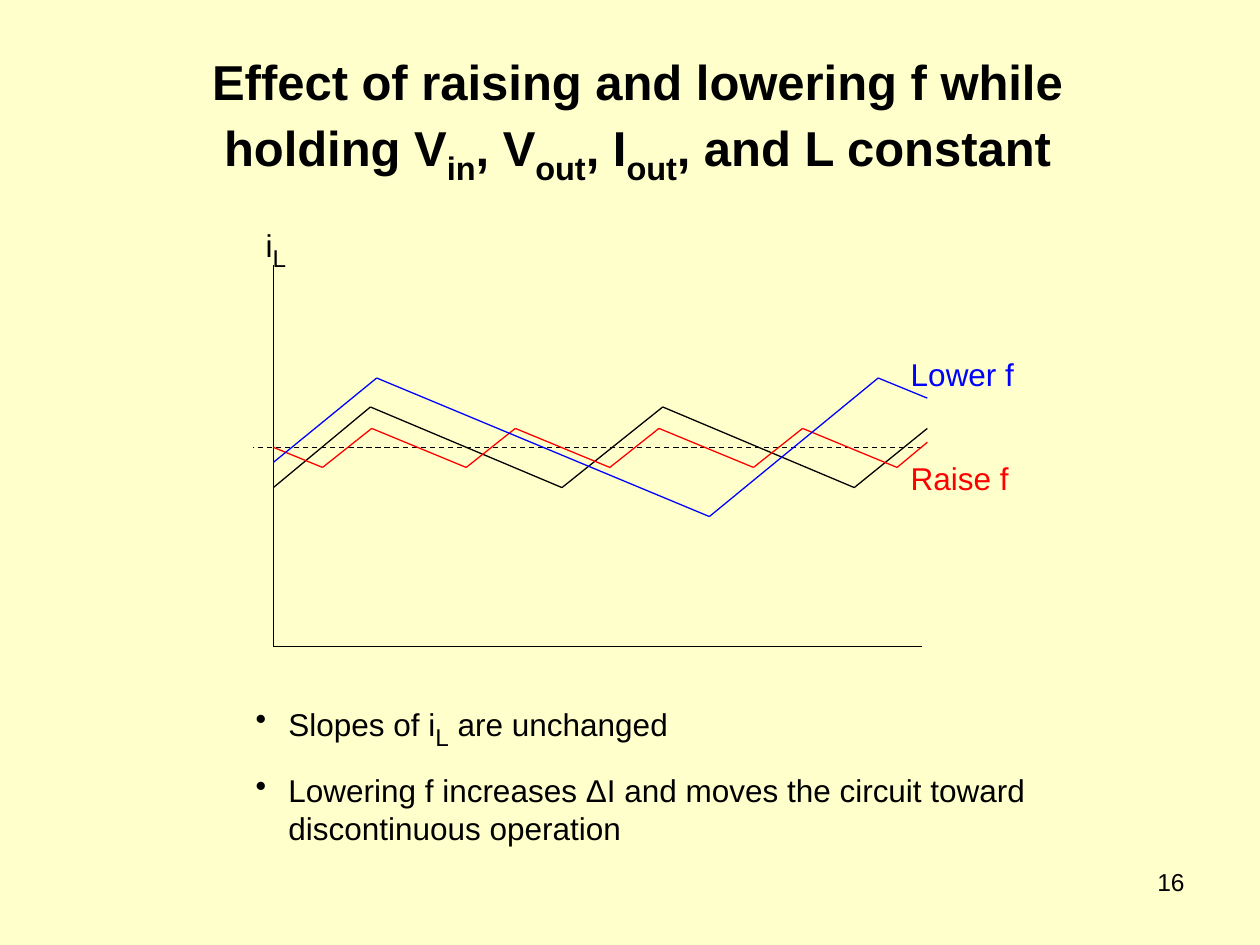
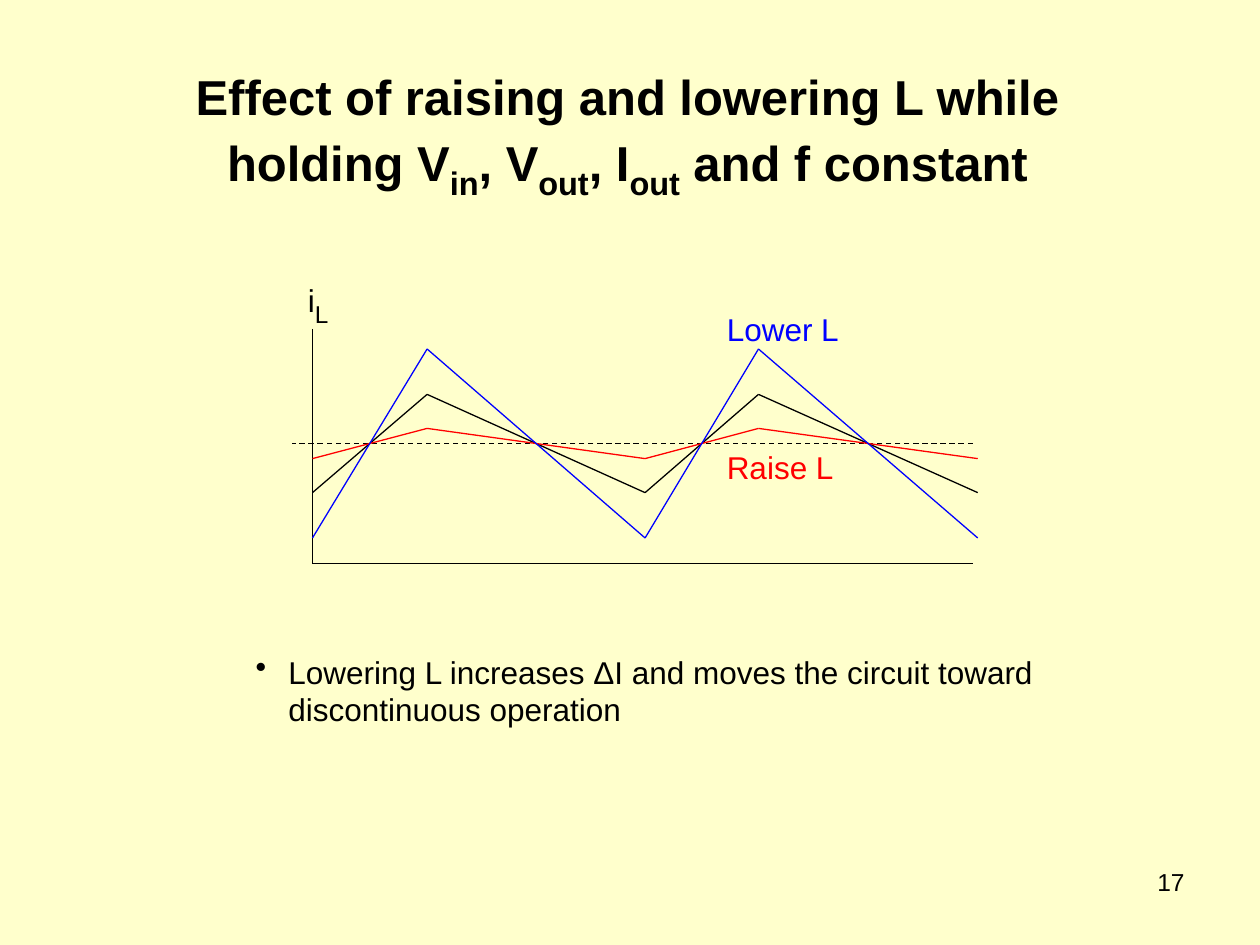
from lxml import etree
from pptx import Presentation
from pptx.dml.color import RGBColor
from pptx.enum.dml import MSO_LINE
from pptx.enum.shapes import MSO_CONNECTOR
from pptx.enum.text import PP_ALIGN
from pptx.oxml.ns import qn
from pptx.util import Inches, Pt

CREAM = RGBColor(0xFF, 0xFF, 0xCC)
BLACK = RGBColor(0, 0, 0)
RED = RGBColor(0xFF, 0, 0)
BLUE = RGBColor(0, 0, 0xFF)
INDENT = Inches(0.26)


class Deck:
    def __init__(self):
        self.show = Presentation()
        self.show.slide_width = Inches(10)
        self.show.slide_height = Inches(7.5)
        self.slide = None

    def page(self, number):
        self.slide = self.show.slides.add_slide(self.show.slide_layouts[6])
        fill = self.slide.background.fill
        fill.solid()
        fill.fore_color.rgb = CREAM
        self.text((7.17, 6.83, 2.33, 0.52), [[str(number)]], 14,
                  align=PP_ALIGN.RIGHT)

    def text(self, place, paras, size, sub=None, color=BLACK, bold=False,
             align=PP_ALIGN.LEFT, bullet=False):
        """Each paragraph is a list of runs; every second run is a subscript."""
        frame = self.slide.shapes.add_textbox(*map(Inches, place)).text_frame
        frame.word_wrap = True
        for i, runs in enumerate(paras):
            para = frame.add_paragraph() if i else frame.paragraphs[0]
            para.alignment = align
            if i:
                para.space_before = Pt(11.2)
            if bullet:
                self.bullet(para)
            for j, part in enumerate(runs):
                run = para.add_run()
                run.text = part
                low = j % 2 == 1
                style = {"name": "Arial", "size": Pt(sub if low else size),
                         "bold": bold}
                for key, value in style.items():
                    setattr(run.font, key, value)
                run.font.color.rgb = color
                if low:
                    run.font._element.set("baseline", "-25000")

    def bullet(self, para):
        props = para._p.get_or_add_pPr()
        props.set("marL", str(INDENT))
        props.set("indent", str(-INDENT))
        etree.SubElement(props, qn("a:buChar")).set("char", "•")

    def title(self, left, top, runs):
        self.text((left, top, 7.84, 1.18), [runs], 28, 32, bold=True,
                  align=PP_ALIGN.CENTER)

    def label(self, left, top, words, color):
        self.text((left, top, 1.93, 0.4), [[words]], 18, color=color)

    def points(self, top, height, paras):
        self.text((1.93, top, 6.89, height), paras, 18, 24, bullet=True)

    def line(self, start, end, color=BLACK, dash=None):
        ends = map(Inches, (*start, *end))
        link = self.slide.shapes.add_connector(MSO_CONNECTOR.STRAIGHT, *ends)
        link.line.color.rgb = color
        link.line.width = Pt(0.75)
        link.line.dash_style = dash
        etree.SubElement(link._element.spPr, qn("a:effectLst"))

    def wave(self, spots, color=BLACK):
        for start, end in zip(spots, spots[1:]):
            self.line(start, end, color)

    def axes(self, left, top, base, right, mean, name):
        """Draw both axes, the dashed mean line and the iL label (name: its box)."""
        self.line((left, top), (left, base))
        self.line((right, base), (left, base))
        self.line((right, mean), (left - 0.16, mean), dash=MSO_LINE.DASH)
        self.text(name, [["i", "L"]], 18, 24, align=PP_ALIGN.CENTER)


def vary_f(deck):
    deck.page(16)
    deck.title(1.14, 0.36, ["Effect of raising and lowering f while holding V", "in",
                            ", V", "out", ", I", "out", ", and L constant"])
    deck.axes(2.17, 2.1, 5.13, 7.32, 3.55, (1.81, 1.66, 0.76, 0.56))
    deck.wave([(2.17, 3.87), (2.94, 3.23), (4.46, 3.87), (5.26, 3.23),
               (6.78, 3.87), (7.36, 3.4)])
    teeth = [(x + 1.14 * k, y) for k in range(4)
             for x, y in ((2.56, 3.71), (2.95, 3.4))]
    deck.wave([(2.17, 3.55), *teeth, (7.12, 3.71), (7.36, 3.51)], RED)
    deck.wave([(2.17, 3.67), (2.99, 3), (5.63, 4.1), (6.97, 3), (7.36, 3.16)],
              BLUE)
    deck.label(7.13, 3.59, "Raise f", RED)
    deck.label(7.13, 2.77, "Lower f", BLUE)
    deck.points(5.46, 1.31, [
        ["Slopes of i", "L", " are unchanged"],
        ["Lowering f increases ΔI and moves the circuit toward "
         "discontinuous operation"]])


def vary_l(deck):
    deck.page(17)
    deck.title(1.06, 0.48, ["Effect of raising and lowering L while holding V", "in",
                            ", V", "out", ", I", "out", " and f constant"])
    deck.axes(2.48, 2.61, 4.47, 7.72, 3.52, (2.09, 2.1, 0.87, 0.56))
    turns = (2.48, 3.39, 5.12, 6.02, 7.76)
    for low, high, color in ((3.91, 3.13, BLACK), (3.64, 3.4, RED),
                             (4.27, 2.77, BLUE)):
        deck.wave(list(zip(turns, (low, high, low, high, low))), color)
    deck.label(5.67, 3.51, "Raise L", RED)
    deck.label(5.67, 2.41, "Lower L", BLUE)
    deck.points(5.13, 0.7, [["Lowering L increases ΔI and moves the circuit toward "
                             "discontinuous operation"]])


def main():
    deck = Deck()
    vary_f(deck)
    vary_l(deck)
    deck.show.save("out.pptx")


if __name__ == "__main__":
    main()
